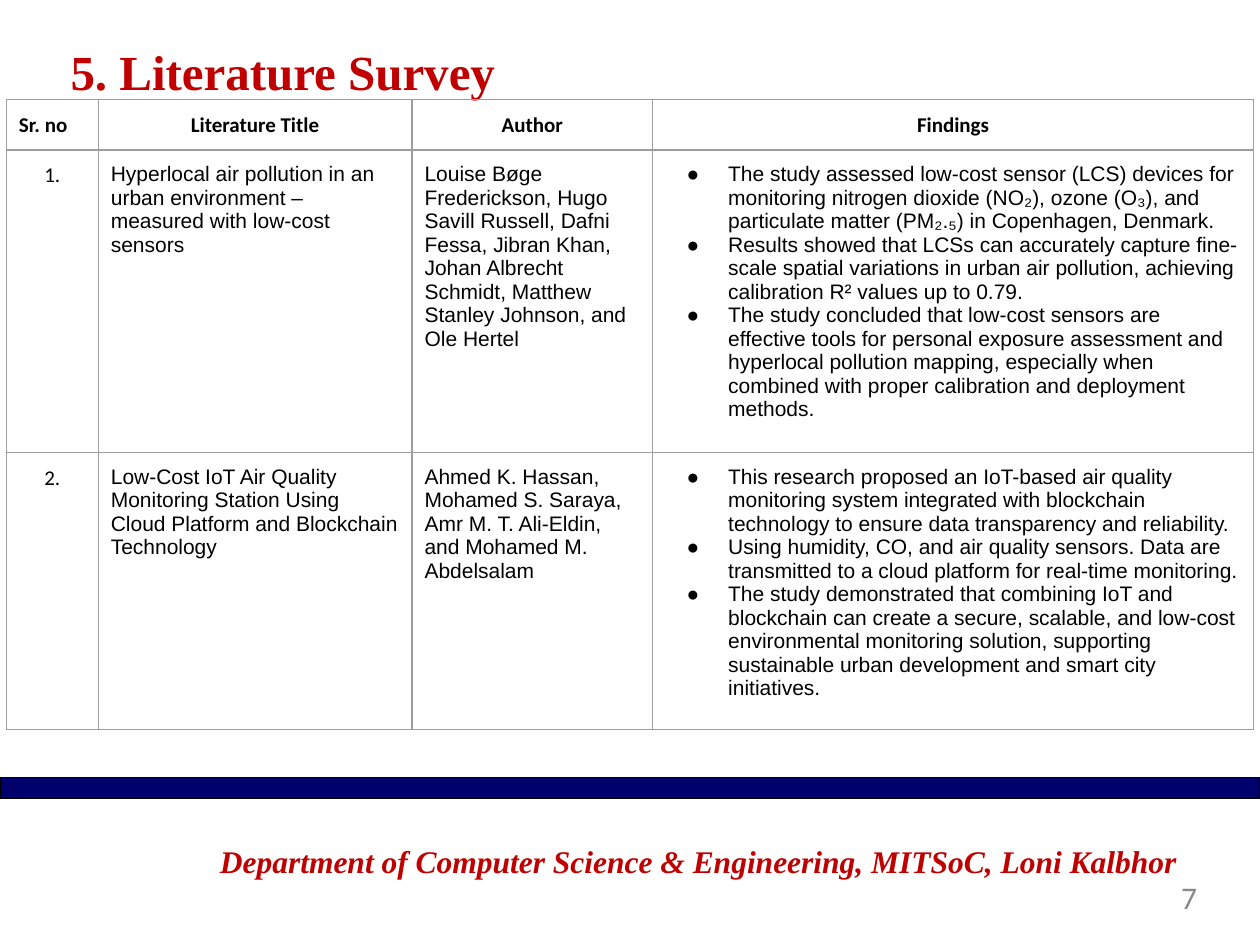
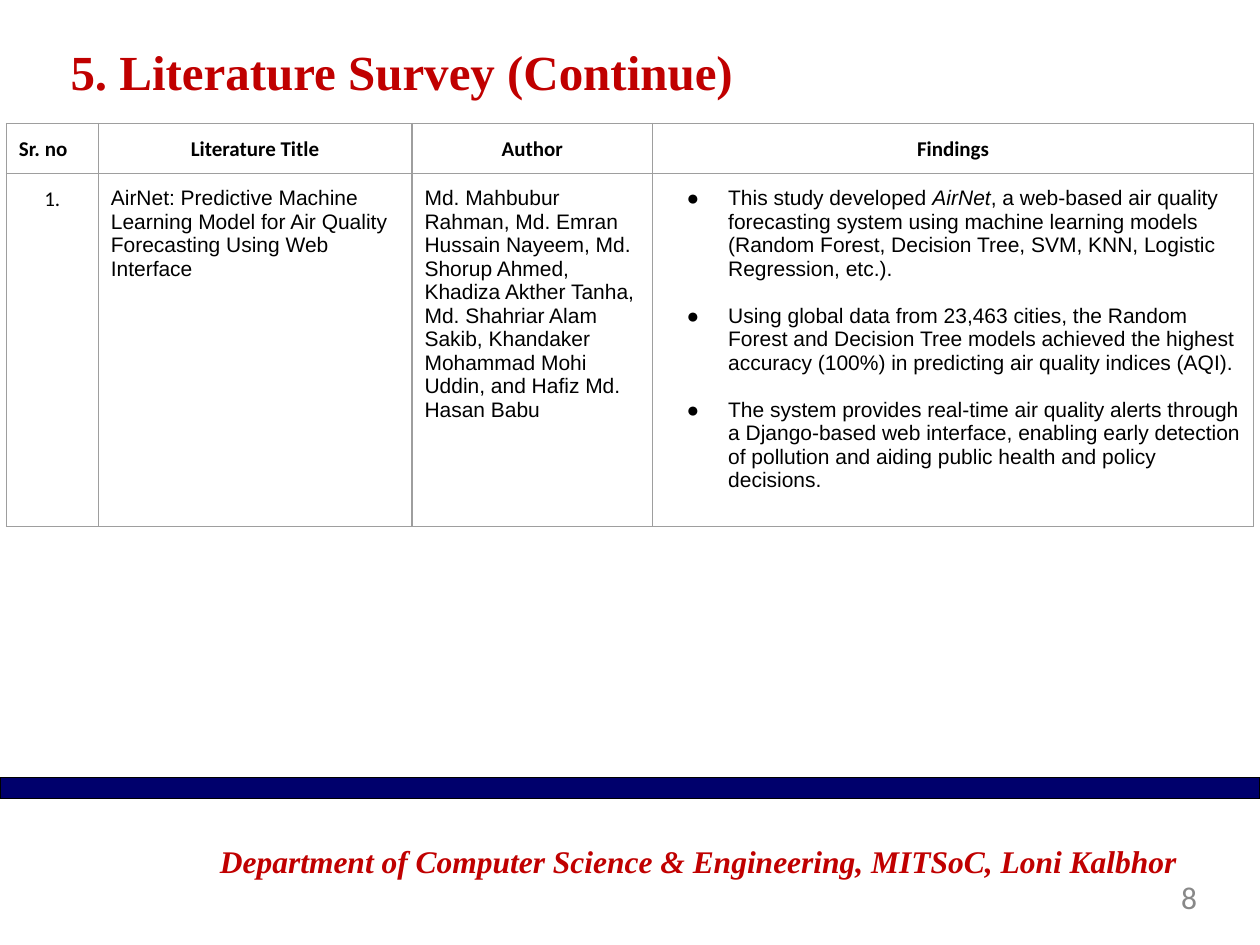
from lxml.etree import SubElement
from pptx import Presentation
from pptx.dml.color import RGBColor
from pptx.enum.shapes import MSO_SHAPE
from pptx.enum.text import MSO_ANCHOR, MSO_AUTO_SIZE, PP_ALIGN
from pptx.oxml.ns import qn
from pptx.util import Inches, Pt

RED = RGBColor(0xC0, 0x00, 0x00)
NAVY = RGBColor(0x00, 0x00, 0x6C)
GREY = RGBColor(0x88, 0x88, 0x88)
RULE = RGBColor(0x9E, 0x9E, 0x9E)
BLACK = RGBColor(0x00, 0x00, 0x00)

FOOTER = "Department of Computer Science & Engineering, MITSoC, Loni Kalbhor"
HEADS = ["Sr. no", "Literature Title", "Author", "Findings"]
WIDTHS = [0.73, 2.49, 1.91, 4.77]
HEAD_HIGH = 0.4

# Each page: title, number, table top, gap between findings, row heights, papers
# Asterisks in a finding enclose italic words
PAGES = [
    ("5. Literature Survey", 7, 0.79, 0, [2.4, 2.2], [
        ("Hyperlocal air pollution in an urban environment – measured with "
         "low-cost sensors",
         "Louise Bøge Frederickson, Hugo Savill Russell, Dafni Fessa, Jibran "
         "Khan, Johan Albrecht Schmidt, Matthew Stanley Johnson, and Ole Hertel",
         ["The study assessed low-cost sensor (LCS) devices for monitoring "
          "nitrogen dioxide (NO₂), ozone (O₃), and particulate matter (PM₂.₅) "
          "in Copenhagen, Denmark.",
          "Results showed that LCSs can accurately capture fine-scale spatial "
          "variations in urban air pollution, achieving calibration R² values "
          "up to 0.79.",
          "The study concluded that low-cost sensors are effective tools for "
          "personal exposure assessment and hyperlocal pollution mapping, "
          "especially when combined with proper calibration and deployment "
          "methods."]),
        ("Low-Cost IoT Air Quality Monitoring Station Using Cloud Platform and "
         "Blockchain Technology",
         "Ahmed K. Hassan, Mohamed S. Saraya, Amr M. T. Ali-Eldin, and Mohamed "
         "M. Abdelsalam",
         ["This research proposed an IoT-based air quality monitoring system "
          "integrated with blockchain technology to ensure data transparency "
          "and reliability.",
          "Using humidity, CO, and air quality sensors. Data are transmitted to "
          "a cloud platform for real-time monitoring.",
          "The study demonstrated that combining IoT and blockchain can create "
          "a secure, scalable, and low-cost environmental monitoring solution, "
          "supporting sustainable urban development and smart city "
          "initiatives."]),
    ]),
    ("5. Literature Survey (Continue)", 8, 0.98, 13.4, [2.8], [
        ("AirNet: Predictive Machine Learning Model for Air Quality Forecasting "
         "Using Web Interface",
         "Md. Mahbubur Rahman, Md. Emran Hussain Nayeem, Md. Shorup Ahmed, "
         "Khadiza Akther Tanha, Md. Shahriar Alam Sakib, Khandaker Mohammad "
         "Mohi Uddin, and Hafiz Md. Hasan Babu",
         ["This study developed *AirNet*, a web-based air quality forecasting "
          "system using machine learning models (Random Forest, Decision Tree, "
          "SVM, KNN, Logistic Regression, etc.).",
          "Using global data from 23,463 cities, the Random Forest and Decision "
          "Tree models achieved the highest accuracy (100%) in predicting air "
          "quality indices (AQI).",
          "The system provides real-time air quality alerts through a "
          "Django-based web interface, enabling early detection of pollution "
          "and aiding public health and policy decisions."]),
    ]),
]


def write(para, text, face, size, color, bold=False, italic=False):
    run = para.add_run()
    run.text = text
    font = run.font
    font.name, font.size, font.color.rgb = face, Pt(size), color
    font.bold, font.italic = bold, italic


def frame_cell(cell):
    props = cell._tc.get_or_add_tcPr()
    for side in ("lnL", "lnR", "lnT", "lnB"):
        line = SubElement(props, qn(f"a:{side}"), w=str(Pt(0.75)))
        fill = SubElement(line, qn("a:solidFill"))
        SubElement(fill, qn("a:srgbClr"), val=str(RULE))
    cell.fill.background()
    cell.margin_left = cell.margin_right = Inches(0.1)
    cell.margin_top = cell.margin_bottom = Inches(0.1)


prs = Presentation()
prs.slide_width, prs.slide_height = Inches(10), Inches(7.5)

for name, num, top, gap, highs, papers in PAGES:
    slide = prs.slides.add_slide(prs.slide_layouts[5])
    shapes = slide.shapes

    # Band
    band = shapes.add_shape(MSO_SHAPE.RECTANGLE, 0, Inches(6.17),
                            Inches(10), Inches(0.17))
    band.shadow.inherit = False
    band.fill.solid()
    band.fill.fore_color.rgb = NAVY
    band.line.color.rgb = BLACK
    band.line.width = Pt(0.75)

    # Title
    title = shapes.title
    title.left, title.top = Inches(0.46), Inches(0.25)
    title.width, title.height = Inches(8.76), Inches(0.63)
    title.text_frame.auto_size = MSO_AUTO_SIZE.NONE
    title.text_frame.vertical_anchor = MSO_ANCHOR.MIDDLE
    para = title.text_frame.paragraphs[0]
    para.alignment = PP_ALIGN.LEFT
    write(para, name, "Times New Roman", 28, RED, bold=True)

    # Footer and slide number
    for left, y, wide, high, align, text, face, color, strong in (
            (1.51, 6.68, 8.07, 0.74, PP_ALIGN.CENTER, FOOTER,
             "Times New Roman", RED, True),
            (7.2, 6.97, 2.3, 0.38, PP_ALIGN.RIGHT, str(num),
             "Calibri", GREY, False)):
        box = shapes.add_textbox(Inches(left), Inches(y),
                                 Inches(wide), Inches(high))
        frame = box.text_frame
        frame.word_wrap = True
        frame.margin_left = frame.margin_right = 0
        frame.margin_top = frame.margin_bottom = 0
        para = frame.paragraphs[0]
        para.alignment = align
        write(para, text, face, 18, color, bold=strong, italic=strong)

    # Table grid
    table = shapes.add_table(len(papers) + 1, len(HEADS), Inches(0.05),
                             Inches(top), Inches(sum(WIDTHS)),
                             Inches(HEAD_HIGH + sum(highs))).table
    table.first_row = table.horz_banding = False
    for col, wide in zip(table.columns, WIDTHS):
        col.width = Inches(wide)
    for row, high in zip(table.rows, [HEAD_HIGH] + highs):
        row.height = Inches(high)
    for cell in table.iter_cells():
        frame_cell(cell)

    # Header row
    for i, head in enumerate(HEADS):
        para = table.cell(0, i).text_frame.paragraphs[0]
        para.alignment = PP_ALIGN.CENTER if i else PP_ALIGN.LEFT
        write(para, head, "Calibri", 12, BLACK, bold=True)

    # Papers
    for r, (work, author, finds) in enumerate(papers, 1):
        para = table.cell(r, 0).text_frame.paragraphs[0]
        para.alignment = PP_ALIGN.CENTER
        write(para, f"{r}.", "Calibri", 12, BLACK)
        for c, text in ((1, work), (2, author)):
            para = table.cell(r, c).text_frame.paragraphs[0]
            write(para, text, "Arial", 12, BLACK)

        # Bulleted findings
        frame = table.cell(r, 3).text_frame
        for i, find in enumerate(finds):
            para = frame.add_paragraph() if i else frame.paragraphs[0]
            props = para._p.get_or_add_pPr()
            props.set("marL", str(Inches(0.5)))
            props.set("indent", str(Inches(-0.33)))
            tint = SubElement(props, qn("a:buClr"))
            SubElement(tint, qn("a:srgbClr"), val=str(BLACK))
            SubElement(props, qn("a:buFont"), typeface="Arial")
            SubElement(props, qn("a:buChar"), char="●")
            if i and gap:
                para.space_before = Pt(gap)
            for j, part in enumerate(find.split("*")):
                write(para, part, "Arial", 12, BLACK, italic=j % 2 == 1)

prs.save("out.pptx")
